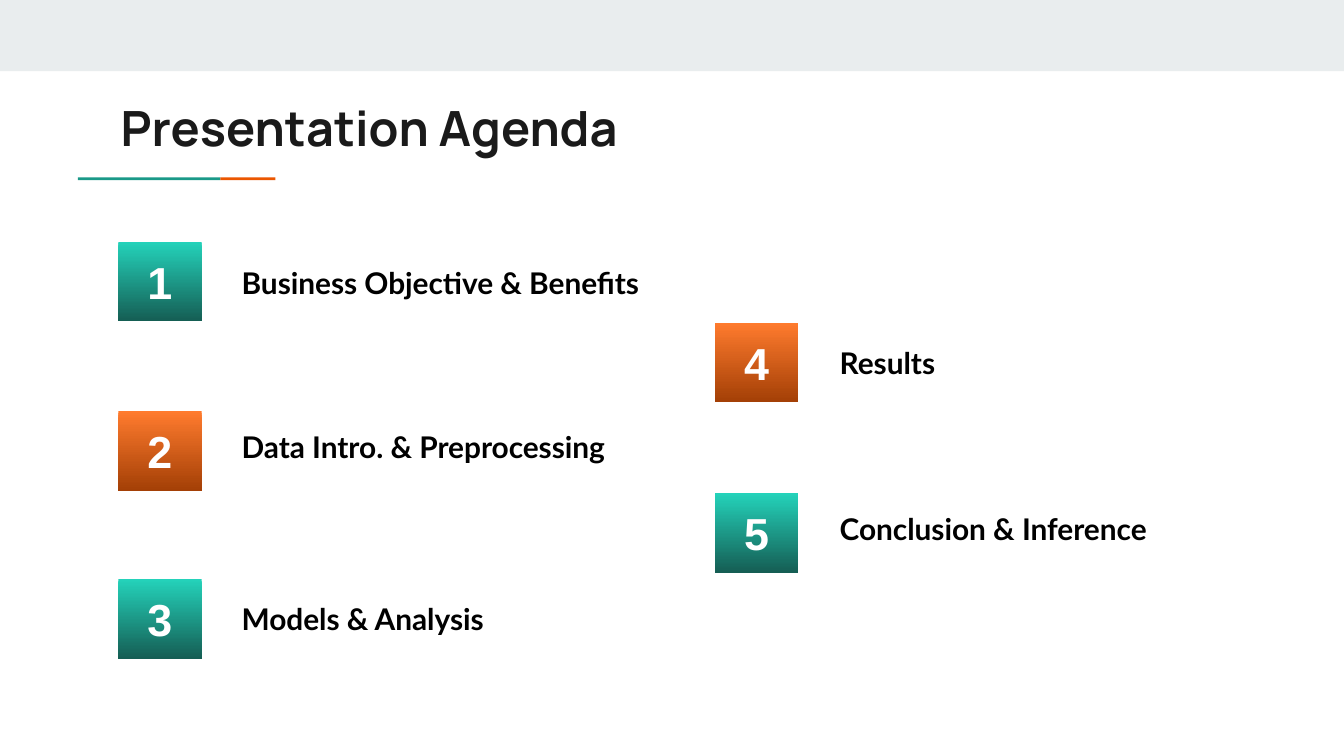
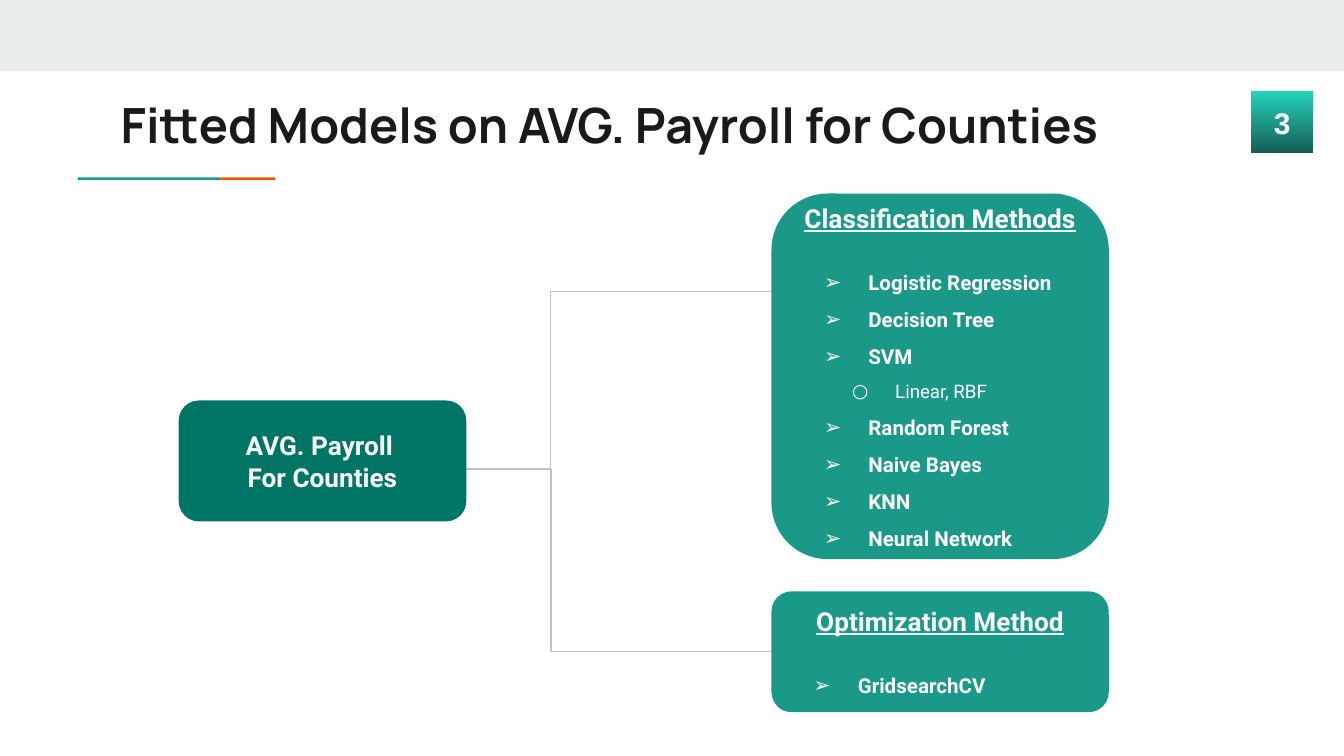
from lxml import etree
from pptx import Presentation
from pptx import util as u
from pptx.dml.color import RGBColor
from pptx.enum import shapes, text
from pptx.oxml.ns import qn

WHITE, BLACK, INK = "FFFFFF", "000000", "1A1A1A"
BAND, RULE, GREY = "E9EDEE", "EB5600", "C2C2C2"
TEAL, DEEP = "1A9988", "007566"
GREEN, ORANGE = ("24D2BA", "155E54"), ("FF7B2E", "A44006")
KIND = shapes.MSO_SHAPE
MID, TOP = text.MSO_ANCHOR.MIDDLE, text.MSO_ANCHOR.TOP
LEFT, CENTER = text.PP_ALIGN.LEFT, text.PP_ALIGN.CENTER


def rgb(code):
    return RGBColor.from_string(code)


def inch(*sizes):
    return [u.Inches(s) for s in sizes]


class Deck:
    """Holds the shared style and the current slide."""

    def __init__(self):
        self.prs = Presentation()
        self.prs.slide_width = u.Inches(10)
        self.prs.slide_height = u.Inches(10 * 9 / 16)
        self.slide = None

    def page(self, title, top):
        """Start a slide with band, accent rule and title."""
        self.slide = self.prs.slides.add_slide(self.prs.slide_layouts[6])
        self.shape(KIND.RECTANGLE, (0, 0, 10, 0.53), BAND)
        self.shape(KIND.RECTANGLE, (0.58, 1.32, 1.06, 0.02), TEAL)
        self.shape(KIND.RECTANGLE, (1.64, 1.32, 0.41, 0.02), RULE)
        self.label((0.8, top, 8.41, 0.59), title, 26, "Manrope", INK, TOP)

    def shape(self, kind, box, fill):
        """Add a shape; a pair of colours makes a downward gradient."""
        item = self.slide.shapes.add_shape(kind, *inch(*box))
        item.shadow.inherit = False
        item.line.fill.background()
        if isinstance(fill, tuple):
            item.fill.gradient()
            item.fill.gradient_angle = 270
            for stop, code in zip(item.fill.gradient_stops, fill):
                stop.color.rgb = rgb(code)
        else:
            item.fill.solid()
            item.fill.fore_color.rgb = rgb(fill)
        return item

    def frame(self, item, anchor=MID):
        """Give a shape's text its margins, wrap and anchor."""
        body = item.text_frame
        body.word_wrap = True
        body.vertical_anchor = anchor
        body.margin_left = body.margin_right = u.Inches(0.1)
        body.margin_top = body.margin_bottom = u.Inches(0.1)
        return body

    def style(self, para, words, size, face, color=WHITE, bold=True, align=LEFT):
        para.text = words
        para.alignment = align
        font = para.font
        font.size, font.name, font.bold = u.Pt(size), face, bold
        font.color.rgb = rgb(color)

    def label(self, box, words, size, face, color, anchor=MID):
        body = self.frame(self.slide.shapes.add_textbox(*inch(*box)), anchor)
        self.style(body.paragraphs[0], words, size, face, color)

    def badge(self, box, num, fill, size):
        body = self.frame(self.shape(KIND.FLOWCHART_PROCESS, box, fill))
        self.style(body.paragraphs[0], num, size, "Arial", align=CENTER)

    def card(self, box, fill, heads):
        """Add a rounded box with centred heading lines."""
        body = self.frame(self.shape(KIND.ROUNDED_RECTANGLE, box, fill))
        for i, words in enumerate(heads):
            para = body.add_paragraph() if i else body.paragraphs[0]
            self.style(para, words, 14, "Roboto", align=CENTER)
        return body

    def group(self, box, head, items):
        """Add a card with an underlined heading and (level, words) bullets."""
        body = self.card(box, TEAL, [head])
        body.paragraphs[0].font.underline = True
        body.paragraphs[0].space_after = u.Pt(13)
        for level, words in items:
            self.bullet(body.add_paragraph(), level, words)

    def bullet(self, para, level, words):
        size, mark, left, hang = ((11, "➢", 0.5, 0.33), (10, "○", 0.7, 0.32))[level]
        self.style(para, words, size, "Roboto", bold=not level)
        para.level = level
        para.line_spacing = 1.5
        props = para._p.get_or_add_pPr()
        props.set("marL", str(u.Inches(left)))
        props.set("indent", str(-u.Inches(hang)))
        tint = etree.SubElement(props, qn("a:buClr"))
        etree.SubElement(tint, qn("a:srgbClr"), val=WHITE)
        etree.SubElement(props, qn("a:buFont"), typeface="Roboto")
        etree.SubElement(props, qn("a:buChar"), char=mark)
        # Default run properties come last in the schema.
        for tail in props.findall(qn("a:defRPr")):
            props.append(tail)

    def elbow(self, start, bend, end):
        """Add an elbow line that turns at x = bend."""
        line = self.slide.shapes.add_connector(
            shapes.MSO_CONNECTOR.ELBOW, *inch(*start, *end))
        line.line.color.rgb = rgb(GREY)
        line.line.width = u.Pt(0.75)
        props = line._element.spPr
        etree.SubElement(props, qn("a:effectLst"))
        guides = props.find(qn("a:prstGeom")).find(qn("a:avLst"))
        ratio = round((bend - start[0]) / (end[0] - start[0]) * 100000)
        etree.SubElement(guides, qn("a:gd"), name="adj1", fmla=f"val {ratio}")


def agenda(deck):
    deck.page("Presentation Agenda", 0.63)
    # Badge left, badge top, label left, label top, words
    rows = [
        (0.88, 1.8, 1.7, 1.81, "Business Objective & Benefits"),
        (0.88, 3.06, 1.7, 3.03, "Data Intro. & Preprocessing"),
        (0.88, 4.31, 1.7, 4.31, "Models & Analysis"),
        (5.32, 2.4, 6.15, 2.4, "Results"),
        (5.32, 3.67, 6.15, 3.64, "Conclusion & Inference"),
    ]
    for num, (left, top, x, y, words) in enumerate(rows, 1):
        fill = GREEN if num % 2 else ORANGE
        deck.badge((left, top, 0.62, 0.59), str(num), fill, 24)
        deck.label((x, y, 3.17, 0.59), words, 16, "Lato", BLACK)


def models(deck):
    deck.page("Fitted Models on AVG. Payroll for Counties", 0.61)
    deck.badge((9.31, 0.68, 0.46, 0.46), "3", GREEN, 16)
    deck.elbow((2.55, 3.49), 4.1, (6.83, 4.85))
    deck.elbow((2.43, 3.49), 4.1, (5.76, 2.17))
    deck.card((1.33, 2.98, 2.14, 0.9), DEEP, ["AVG. Payroll ", "For Counties"])
    deck.group((5.74, 1.44, 2.51, 2.72), "Classification Methods", [
        (0, "Logistic Regression"), (0, "Decision Tree"), (0, "SVM"),
        (1, "Linear, RBF"), (0, "Random Forest"), (0, "Naive Bayes"),
        (0, "KNN"), (0, "Neural Network")])
    deck.group((5.74, 4.4, 2.51, 0.9), "Optimization Method",
               [(0, "GridsearchCV")])


def main():
    deck = Deck()
    agenda(deck)
    models(deck)
    deck.prs.save("out.pptx")


if __name__ == "__main__":
    main()
